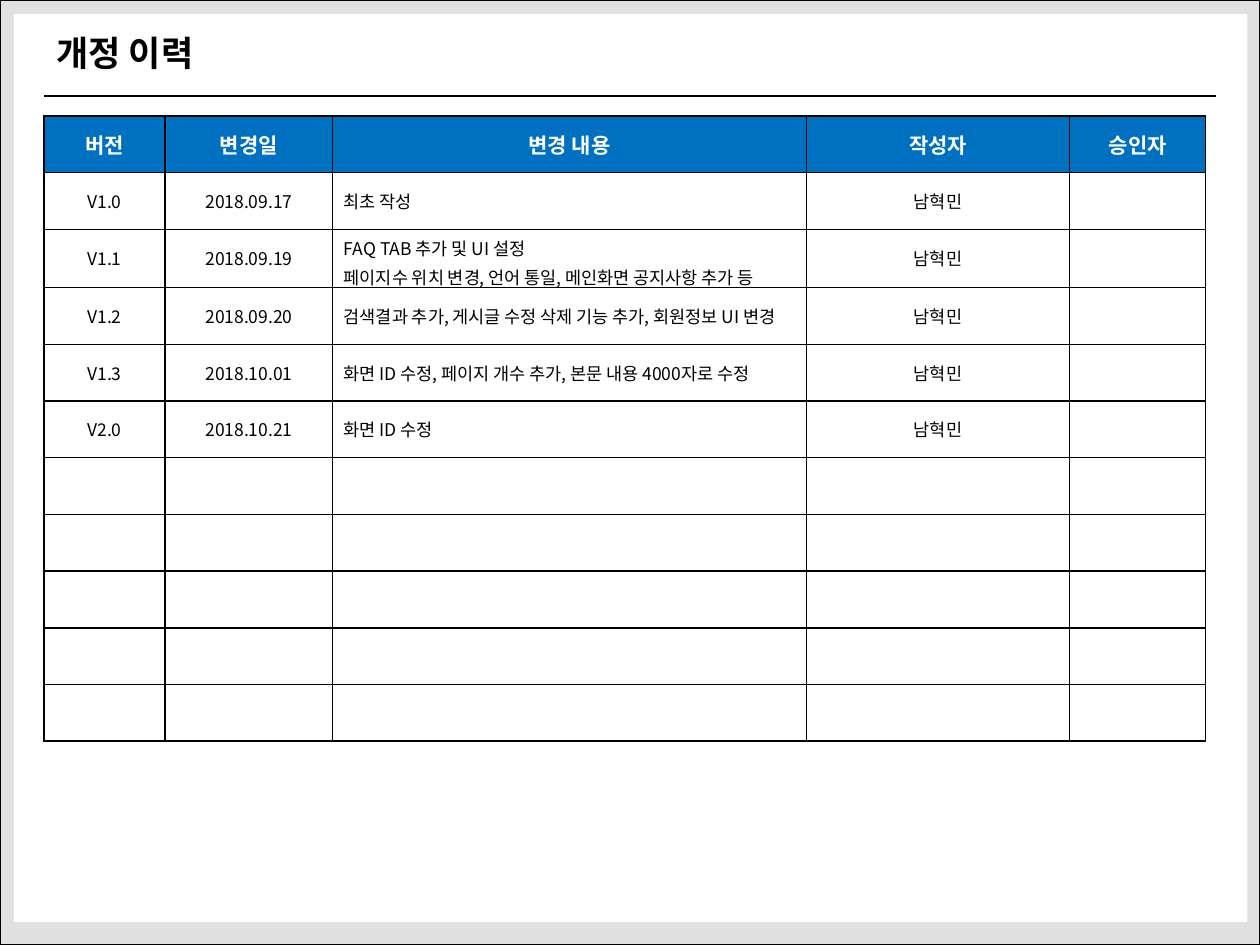
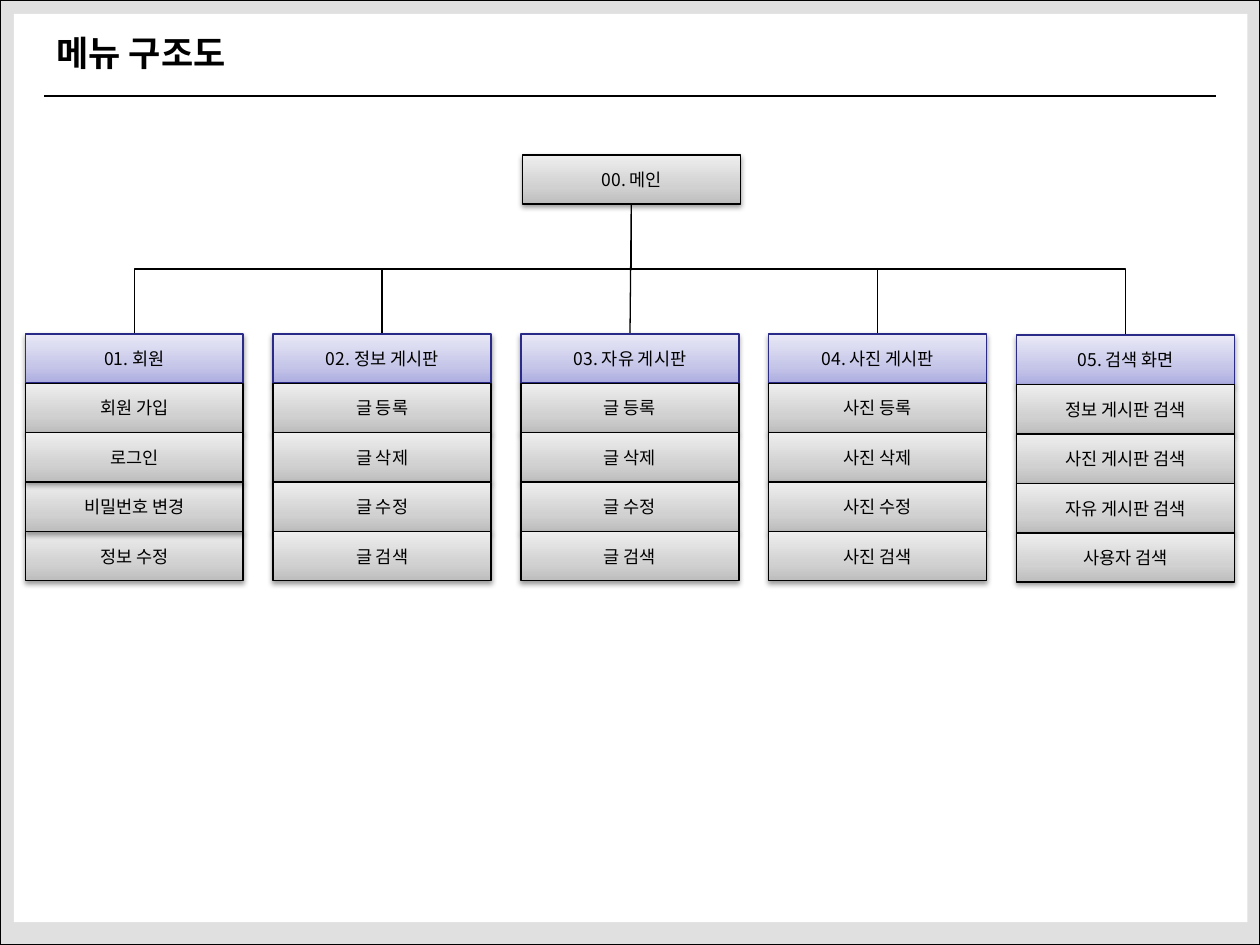
import copy

import lxml.etree
import pptx
import pptx.dml.color
import pptx.enum.shapes
import pptx.enum.text
import pptx.oxml.ns
import pptx.util

Inches = pptx.util.Inches
Pt = pptx.util.Pt
RGB = pptx.dml.color.RGBColor.from_string
qn = pptx.oxml.ns.qn
RECTANGLE = pptx.enum.shapes.MSO_SHAPE.RECTANGLE
STRAIGHT = pptx.enum.shapes.MSO_CONNECTOR.STRAIGHT
ELBOW = pptx.enum.shapes.MSO_CONNECTOR.ELBOW
MIDDLE = pptx.enum.text.MSO_ANCHOR.MIDDLE
LEFT = pptx.enum.text.PP_ALIGN.LEFT
CENTER = pptx.enum.text.PP_ALIGN.CENTER

FONT = "Noto Sans CJK KR"
COLORS = {"black": "000000", "white": "FFFFFF", "frame": "D9D9D9",
          "header": "0070C0", "menu_line": "2A2A89"}
GRADIENTS = {"gray": ("BDBDBD", "D1D1D1", "EEEEEE"),
             "lilac": ("ADADE1", "C6C6E9", "E9E9F7")}


def add_xml(parent, tag, **attributes):
    """Append a DrawingML child with the given attributes."""
    child = lxml.etree.SubElement(parent, qn(tag))
    for key, value in attributes.items():
        child.set(key, str(value))
    return child


def write(frame, text, size=10, color="black", bold=False, align=LEFT, before=0):
    """Fill a text frame, one paragraph for each line of text."""
    frame.word_wrap = True
    for number, line in enumerate(text.split("\n")):
        para = frame.add_paragraph() if number else frame.paragraphs[0]
        para.alignment = align
        para.space_before = Pt(before)
        span = para.add_run()
        span.text = line
        span.font.size = Pt(size)
        span.font.bold = bold
        span.font.name = FONT
        span.font.color.rgb = RGB(COLORS[color])
        add_xml(span.font._element, "a:ea", typeface=FONT)


deck = pptx.Presentation()
deck.slide_width, deck.slide_height = Inches(10), Inches(7.5)

# Frame, title and rule shared by both slides
pages = []
for title in ("개정 이력", "메뉴 구조도"):
    page = deck.slides.add_slide(deck.slide_layouts[6])
    pages.append(page)
    frame = page.shapes.add_shape(RECTANGLE, 0, 0, Inches(10), Inches(7.5))
    panel = page.shapes.add_shape(RECTANGLE, Inches(0.11), Inches(0.11),
                                  Inches(9.79), Inches(7.21))
    for box, color in ((frame, "frame"), (panel, "white")):
        box.shadow.inherit = False
        box.fill.solid()
        box.fill.fore_color.rgb = RGB(COLORS[color])
    add_xml(frame._element.spPr.find(qn("a:solidFill"))[0], "a:alpha", val=80000)
    frame.line.color.rgb = RGB(COLORS["black"])
    frame.line.width = Pt(0.75)
    panel.line.fill.background()

    rule = page.shapes.add_connector(STRAIGHT, Inches(0.35), Inches(0.76),
                                     Inches(9.65), Inches(0.76))
    rule.line.color.rgb = RGB(COLORS["black"])
    rule.line.width = Pt(1)
    add_xml(rule._element.spPr, "a:effectLst")

    heading = page.shapes.add_textbox(Inches(0.35), Inches(0.25),
                                      Inches(6.66), Inches(0.44))
    heading.text_frame.margin_top = 0
    write(heading.text_frame, title, size=20, bold=True)

history_page, menu_page = pages

# Revision history table
AUTHOR = "남혁민"
history = [
    ("버전", "변경일", "변경 내용", "작성자", "승인자"),
    ("V1.0", "2018.09.17", "최초 작성", AUTHOR),
    ("V1.1", "2018.09.19",
     "FAQ TAB 추가 및 UI 설정\n페이지수 위치 변경, 언어 통일, 메인화면 공지사항 추가 등", AUTHOR),
    ("V1.2", "2018.09.20", "검색결과 추가, 게시글 수정 삭제 기능 추가, 회원정보 UI 변경", AUTHOR),
    ("V1.3", "2018.10.01", "화면 ID 수정, 페이지 개수 추가, 본문 내용 4000자로 수정", AUTHOR),
    ("V2.0", "2018.10.21", "화면 ID 수정", AUTHOR),
]
widths = (0.96, 1.33, 3.76, 2.09, 1.08)
row_count, row_height = 11, 0.45
table = history_page.shapes.add_table(
    row_count, len(widths), Inches(0.35), Inches(0.92),
    Inches(sum(widths)), Inches(row_count * row_height)).table
table.first_row = table.horz_banding = False
for column, width in zip(table.columns, widths):
    column.width = Inches(width)
for row in table.rows:
    row.height = Inches(row_height)

for cell in table.iter_cells():
    cell.vertical_anchor = MIDDLE
    cell.margin_left = cell.margin_right = Inches(0.09)
    properties = cell._tc.get_or_add_tcPr()
    for side in ("a:lnL", "a:lnR", "a:lnT", "a:lnB"):
        border = add_xml(properties, side, w=Pt(1))
        add_xml(add_xml(border, "a:solidFill"), "a:srgbClr", val=COLORS["black"])
    cell.fill.background()

for row_index, entry in enumerate(history):
    for column_index, text in enumerate(entry):
        cell = table.cell(row_index, column_index)
        if row_index == 0:
            cell.fill.solid()
            cell.fill.fore_color.rgb = RGB(COLORS["header"])
            write(cell.text_frame, text, size=12, color="white", bold=True,
                  align=CENTER, before=2.4)
        else:
            write(cell.text_frame, text, before=2,
                  align=LEFT if column_index == 2 else CENTER)

# Menu tree: geometry
menus = [
    ("01. 회원", "회원 가입", "로그인", "비밀번호 변경", "정보 수정"),
    ("02. 정보 게시판", "글 등록", "글 삭제", "글 수정", "글 검색"),
    ("03. 자유 게시판", "글 등록", "글 삭제", "글 수정", "글 검색"),
    ("04. 사진 게시판", "사진 등록", "사진 삭제", "사진 수정", "사진 검색"),
    ("05. 검색 화면", "정보 게시판 검색", "사진 게시판 검색", "자유 게시판 검색", "사용자 검색"),
]
box_width, box_height = 1.73, 0.39
first_left, last_left = 0.2, 8.07
menu_top, last_top = 2.65, 4.22
column_step = (last_left - first_left) / (len(menus) - 1)
row_step = (last_top - menu_top) / (len(menus[0]) - 1)
root_x, root_bottom = 5.01, 1.62
drop = menu_top - root_bottom

# Connectors from the main screen to each menu
for index in range(len(menus)):
    target_x = first_left + index * column_step + box_width / 2
    if index == 2:
        link = menu_page.shapes.add_connector(
            STRAIGHT, Inches(root_x), Inches(root_bottom),
            Inches(target_x), Inches(menu_top))
    else:
        # An elbow that starts downwards is a sideways one turned a quarter
        side = 1 if target_x > root_x else -1
        middle_x = (root_x + target_x) / 2
        middle_y = root_bottom + drop / 2
        half_span = abs(target_x - root_x) / 2
        link = menu_page.shapes.add_connector(
            ELBOW,
            Inches(middle_x + side * drop / 2), Inches(middle_y - half_span),
            Inches(middle_x - side * drop / 2), Inches(middle_y + half_span))
        turn = 270 if side > 0 else 90
        link._element.spPr.find(qn("a:xfrm")).set("rot", str(turn * 60000))
    link.line.color.rgb = RGB(COLORS["black"])
    link.line.width = Pt(0.75)
    add_xml(link._element.spPr, "a:effectLst")

# Boxes, from back to front
nodes = [("00. 메인", 4.15, 1.23, "gray")]
for index, menu in enumerate(menus):
    # The first column overlaps upwards, the last one sits slightly lower
    order = (0, 1, 4, 3, 2) if index == 0 else range(len(menu))
    top = menu_top + (0.01 if index == len(menus) - 1 else 0)
    for level in order:
        nodes.append((menu[level], first_left + index * column_step,
                      top + level * row_step, "gray" if level else "lilac"))

for text, left, top, tone in nodes:
    box = menu_page.shapes.add_shape(RECTANGLE, Inches(left), Inches(top),
                                     Inches(box_width), Inches(box_height))
    box.fill.gradient()
    box.fill.gradient_angle = 90
    stop_list = box._element.spPr.find(".//" + qn("a:gsLst"))
    stop_list.append(copy.deepcopy(stop_list[0]))
    for stop, position, color in zip(box.fill.gradient_stops, (0, 0.35, 1), GRADIENTS[tone]):
        stop.position = position
        stop.color.rgb = RGB(color)
    box.line.color.rgb = RGB(COLORS["black" if tone == "gray" else "menu_line"])
    box.line.width = Pt(0.75)
    box.shadow.inherit = False
    shadow = add_xml(box._element.spPr.find(qn("a:effectLst")), "a:outerShdw",
                     blurRad=Pt(3.1), dist=Pt(1.6), dir=90 * 60000, rotWithShape=0)
    add_xml(add_xml(shadow, "a:srgbClr", val=COLORS["black"]), "a:alpha", val=38000)
    box.text_frame.vertical_anchor = MIDDLE
    write(box.text_frame, text, align=CENTER)

deck.save("out.pptx")
